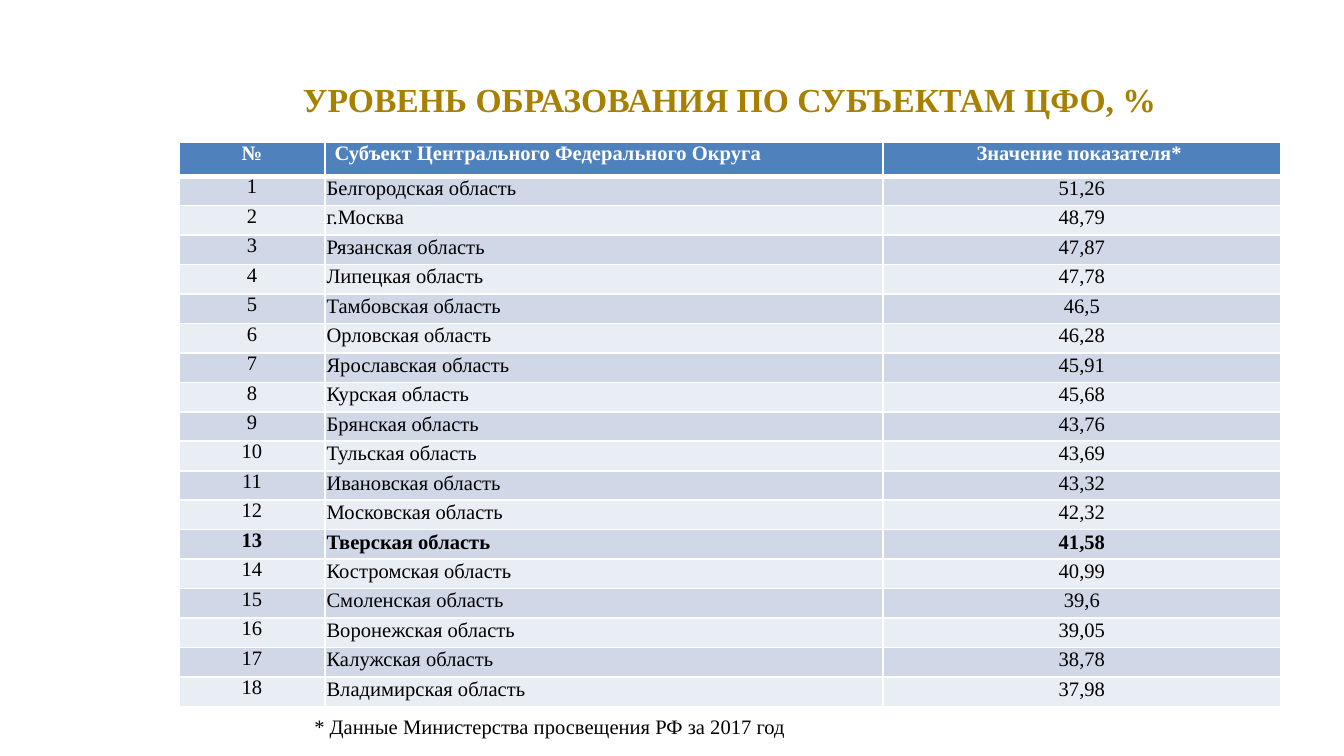
from lxml.etree import SubElement
from pptx import Presentation
from pptx.dml.color import RGBColor
from pptx.enum.text import MSO_ANCHOR as Anchor, MSO_AUTO_SIZE as AutoSize, PP_ALIGN as Align
from pptx.oxml.ns import qn
from pptx.util import Inches, Pt

GOLD = RGBColor(0xA8, 0x80, 0x00)
BLUE = RGBColor(0x4F, 0x81, 0xBD)
BANDS = RGBColor(0xD0, 0xD8, 0xE8), RGBColor(0xE9, 0xED, 0xF4)
WHITE = RGBColor(0xFF, 0xFF, 0xFF)
BLACK = RGBColor(0, 0, 0)

HEADER = "№", "Субъект Центрального Федерального Округа", "Значение показателя* "
REGIONS = [
    ("Белгородская область", "51,26"),
    ("г.Москва", "48,79"),
    ("Рязанская область", "47,87"),
    ("Липецкая область", "47,78"),
    ("Тамбовская область", "46,5"),
    ("Орловская область", "46,28"),
    ("Ярославская область", "45,91"),
    ("Курская область", "45,68"),
    ("Брянская область", "43,76"),
    ("Тульская область", "43,69"),
    ("Ивановская область", "43,32"),
    ("Московская область", "42,32"),
    ("Тверская область", "41,58"),
    ("Костромская область", "40,99"),
    ("Смоленская область", "39,6"),
    ("Воронежская область", "39,05"),
    ("Калужская область", "38,78"),
    ("Владимирская область", "37,98"),
]
HIGHLIGHT = "Тверская область"

SLIDE_WIDTH = Inches(10)
SLIDE_HEIGHT = SLIDE_WIDTH * 9 // 16
TABLE_LEFT, TABLE_TOP, TABLE_HEIGHT = 1.33, 1.06, 4.2
COLUMN_WIDTHS = 1.09, 4.15, 2.96
ALIGNMENTS = Align.CENTER, Align.LEFT, Align.CENTER
HEADER_HEIGHT = 0.25
ROW_HEIGHT = (TABLE_HEIGHT - HEADER_HEIGHT) / len(REGIONS)
HEADER_BORDERS = {"a:lnL": 1, "a:lnR": 1, "a:lnT": 1, "a:lnB": 3}


def write(frame, text, size, color, bold=False, align=Align.LEFT):
    """Fill the frame's first paragraph and return it."""
    paragraph = frame.paragraphs[0]
    paragraph.text = text
    paragraph.alignment = align
    font = paragraph.font
    font.name, font.size, font.bold = "Times New Roman", Pt(size), bold
    font.color.rgb = color
    return paragraph


def set_insets(area, left, top, right, bottom):
    area.margin_left, area.margin_top = Inches(left), Inches(top)
    area.margin_right, area.margin_bottom = Inches(right), Inches(bottom)


prs = Presentation()
prs.slide_width, prs.slide_height = SLIDE_WIDTH, SLIDE_HEIGHT
slide = prs.slides.add_slide(prs.slide_layouts[6])

title = slide.shapes.add_textbox(Inches(1.17), Inches(0.55), Inches(8.52), Inches(0.51)).text_frame
title.word_wrap = True
set_insets(title, 0.07, 0.04, 0.07, 0.04)
write(title, "УРОВЕНЬ ОБРАЗОВАНИЯ ПО СУБЪЕКТАМ ЦФО, %", 18, GOLD, True, Align.CENTER)

# The default table style supplies the thin white grid of the body
rows = [HEADER] + [(str(rank), *region) for rank, region in enumerate(REGIONS, 1)]
ranking = slide.shapes.add_table(
    len(rows), len(HEADER), Inches(TABLE_LEFT), Inches(TABLE_TOP),
    Inches(sum(COLUMN_WIDTHS)), Inches(TABLE_HEIGHT)).table
for column, width in zip(ranking.columns, COLUMN_WIDTHS):
    column.width = Inches(width)

for r, values in enumerate(rows):
    is_header = r == 0
    ranking.rows[r].height = Inches(HEADER_HEIGHT if is_header else ROW_HEIGHT)
    for c, value in enumerate(values):
        cell = ranking.cell(r, c)
        if is_header:
            # Borders come before the fill in the cell properties
            properties = cell._tc.get_or_add_tcPr()
            for side, width in HEADER_BORDERS.items():
                border = SubElement(properties, qn(side), w=str(Pt(width)))
                SubElement(SubElement(border, qn("a:solidFill")), qn("a:srgbClr"), val=str(WHITE))
        cell.fill.solid()
        cell.fill.fore_color.rgb = BLUE if is_header else BANDS[(r - 1) % 2]
        if is_header or c == 0:
            set_insets(cell, 0.07, 0.04, 0.07, 0.04)
        else:
            set_insets(cell, 0.01, 0.01, 0.01, 0)
            cell.vertical_anchor = Anchor.MIDDLE
        paragraph = write(cell.text_frame, value, 11, WHITE if is_header else BLACK,
                          is_header or HIGHLIGHT in values, ALIGNMENTS[c])
        paragraph.line_spacing = Pt(9)

footnote = slide.shapes.add_textbox(
    Inches(2.24), Inches(TABLE_TOP + TABLE_HEIGHT), Inches(4.49), Inches(0.29)).text_frame
footnote.word_wrap = True
footnote.auto_size = AutoSize.SHAPE_TO_FIT_TEXT
write(footnote, "* Данные Министерства просвещения РФ за 2017 год", 11, BLACK)

prs.save("out.pptx")
